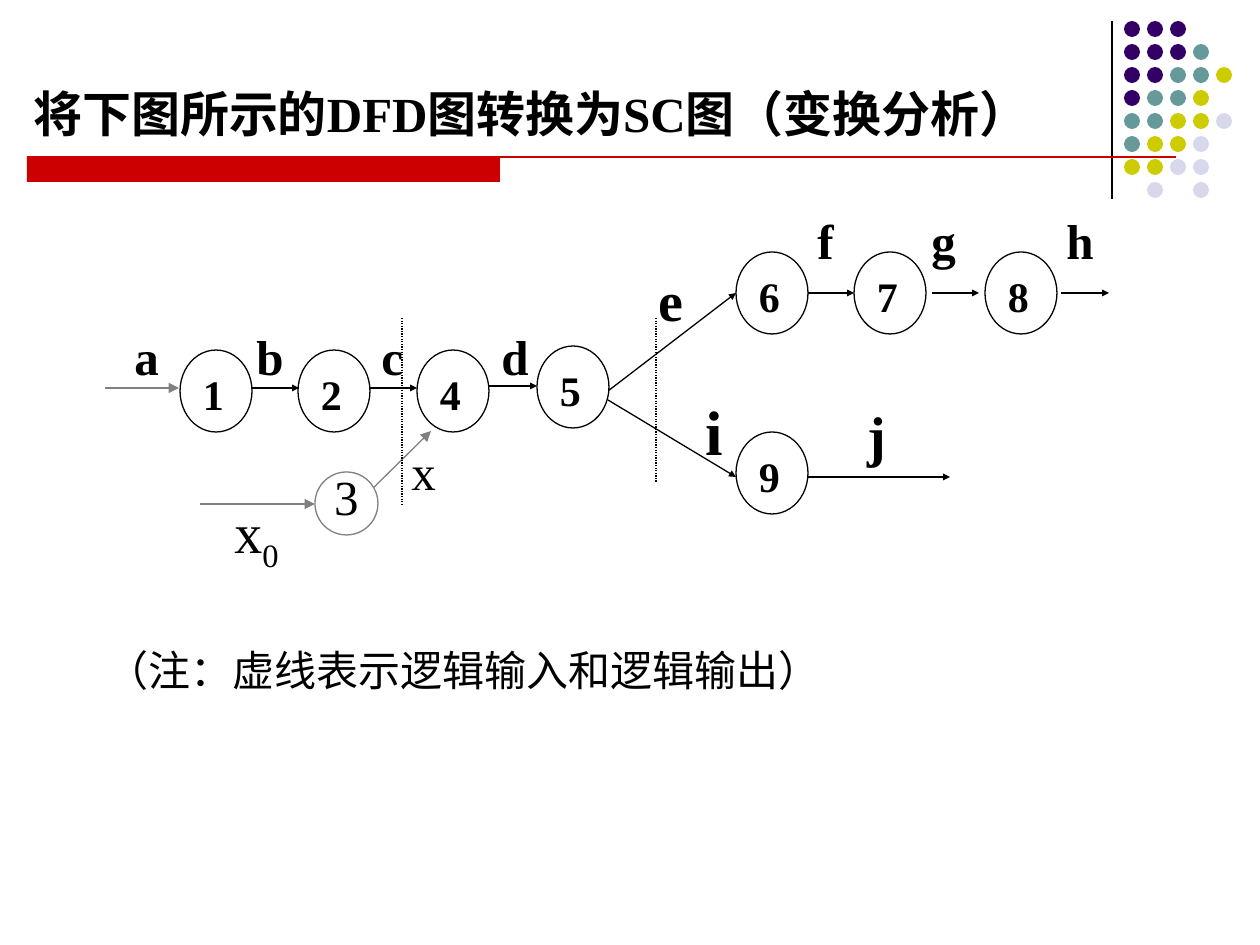
from pptx import Presentation
from pptx.dml.color import RGBColor
from pptx.enum.dml import MSO_LINE
from pptx.enum.shapes import MSO_CONNECTOR, MSO_SHAPE
from pptx.enum.text import MSO_ANCHOR, PP_ALIGN
from pptx.oxml.ns import qn
from pptx.util import Pt
from lxml.etree import SubElement

PX = 914400 / 126
BLACK = RGBColor(0x00, 0x00, 0x00)
WHITE = RGBColor(0xFF, 0xFF, 0xFF)
GRAY = RGBColor(0x80, 0x80, 0x80)
RED = RGBColor(0xCC, 0x00, 0x00)
PURPLE = RGBColor(0x33, 0x00, 0x66)
TEAL = RGBColor(0x66, 0x99, 0x99)
LIME = RGBColor(0xCC, 0xCC, 0x00)
LILAC = RGBColor(0xD8, 0xD8, 0xEC)
SERIF = "Times New Roman"
CHINESE = "Noto Sans CJK SC"
LEFT, CENTER = PP_ALIGN.LEFT, PP_ALIGN.CENTER

deck = Presentation()
deck.slide_width = round(1260 * PX)
deck.slide_height = round(945 * PX)
page = deck.slides.add_slide(deck.slide_layouts[6])


def add_line(points, color=BLACK, arrow=None):
    line = page.shapes.add_connector(
        MSO_CONNECTOR.STRAIGHT, *[round(value * PX) for value in points])
    line.line.color.rgb = color
    line.line.width = Pt(0.75)
    SubElement(line._element.spPr, qn("a:effectLst"))
    if arrow:
        SubElement(line.line._get_or_add_ln(), qn("a:tailEnd"),
                   type="triangle", w=arrow, len=arrow)
    return line


def write_text(shape, text, size, bold, align, spacing=0.7, wrap=False, tabs=(), font=SERIF):
    frame = shape.text_frame
    frame.word_wrap = wrap
    para = frame.paragraphs[0]
    para.text = text
    para.alignment = align
    para.line_spacing = spacing
    if tabs:
        stops = SubElement(para._p.get_or_add_pPr(), qn("a:tabLst"))
        for stop in tabs:
            SubElement(stops, qn("a:tab"), pos=str(round(stop * PX)), algn="l")
    para.font.name = font
    para.font.size = Pt(size)
    para.font.bold = bold
    para.font.color.rgb = BLACK
    SubElement(para._p.pPr.find(qn("a:defRPr")), qn("a:ea"), typeface=CHINESE)
    return para


add_line((1112, 21, 1112, 199))

dot_colors = {"P": PURPLE, "T": TEAL, "L": LIME, "V": LILAC}
dot_rows = ["PPP", "PPPT", "PPTTL", "PTTL", "TTLLV", "TLLV", "LLVV", " V V"]
for row, letters in enumerate(dot_rows):
    for column, letter in enumerate(letters):
        if letter in dot_colors:
            dot = page.shapes.add_shape(
                MSO_SHAPE.OVAL, round((1124 + 23 * column) * PX),
                round((21 + 23 * row) * PX), round(16 * PX), round(16 * PX))
            dot.shadow.inherit = False
            dot.fill.solid()
            dot.fill.fore_color.rgb = dot_colors[letter]
            dot.line.fill.background()

bar = page.shapes.add_shape(
    MSO_SHAPE.RECTANGLE, round(27 * PX), round(157 * PX), round(473 * PX), round(25 * PX))
bar.shadow.inherit = False
bar.fill.solid()
bar.fill.fore_color.rgb = RED
bar.line.fill.background()
add_line((27, 157, 1176, 157), RED)

arrows = [
    (252, 388, 299, 388), (370, 388, 417, 388), (489, 386, 537, 386),
    (608, 391, 736, 293), (608, 400, 736, 477), (807, 293, 854, 293),
    (932, 293, 979, 293), (1061, 293, 1109, 293), (807, 477, 950, 477),
]
for points in arrows:
    add_line(points, arrow="sm")
for points in [(105, 388, 179, 388), (200, 504, 315, 504), (357, 504, 431, 431)]:
    add_line(points, GRAY, "med")
for points in [(402, 318, 402, 504), (656, 318, 656, 482)]:
    add_line(points).line.dash_style = MSO_LINE.ROUND_DOT

processes = [
    ("1", 180, 350), ("2", 298, 350), ("4", 417, 350), ("5", 537, 346),
    ("6", 736, 252), ("7", 854, 252), ("8", 985, 252), ("9", 736, 432), ("3", 315, 472),
]
for number, left, top in processes:
    side_input = number == "3"
    width, height = (63, 63) if side_input else (72, 82)
    circle = page.shapes.add_shape(
        MSO_SHAPE.OVAL, round(left * PX), round(top * PX), round(width * PX), round(height * PX))
    circle.shadow.inherit = False
    circle.fill.solid()
    circle.fill.fore_color.rgb = WHITE
    circle.line.color.rgb = GRAY if side_input else BLACK
    circle.line.width = Pt(0.75)
    if side_input:
        circle.text_frame.vertical_anchor = MSO_ANCHOR.MIDDLE
        write_text(circle, number, 28, False, CENTER)
    else:
        circle.text_frame.vertical_anchor = MSO_ANCHOR.TOP
        write_text(circle, number, 24, True, LEFT, spacing=1.0, wrap=True)

labels = [
    ((21, 93, 1067, 54), "将下图所示的DFD图转换为SC图（变换分析）", 28, True, LEFT, {}),
    ((94, 638, 819, 63), "（注：虚线表示逻辑输入和逻辑输出）", 24, False, LEFT,
     {"spacing": 1.0, "wrap": True, "font": CHINESE}),
    ((122, 336, 483, 54), "a\tb\tc\td", 28, True, LEFT, {"wrap": True, "tabs": (122, 247, 367)}),
    ((805, 220, 325, 54), "f\tg\th", 28, True, LEFT, {"wrap": True, "tabs": (114, 249)}),
    ((646, 278, 50, 60), "e", 32, True, CENTER, {}),
    ((685, 407, 58, 66), "i", 36, True, CENTER, {}),
    ((855, 413, 44, 60), "j", 32, True, CENTER, {}),
    ((399, 451, 49, 54), "x", 28, False, CENTER, {}),
    ((222, 504, 69, 67), "x", 32, False, CENTER, {}),
]
for place, text, size, bold, align, options in labels:
    box = page.shapes.add_textbox(*[round(value * PX) for value in place])
    para = write_text(box, text, size, bold, align, **options)

span = para.add_run()
span.text = "0"
span._r.get_or_add_rPr().set("baseline", "-25000")

deck.save("out.pptx")
